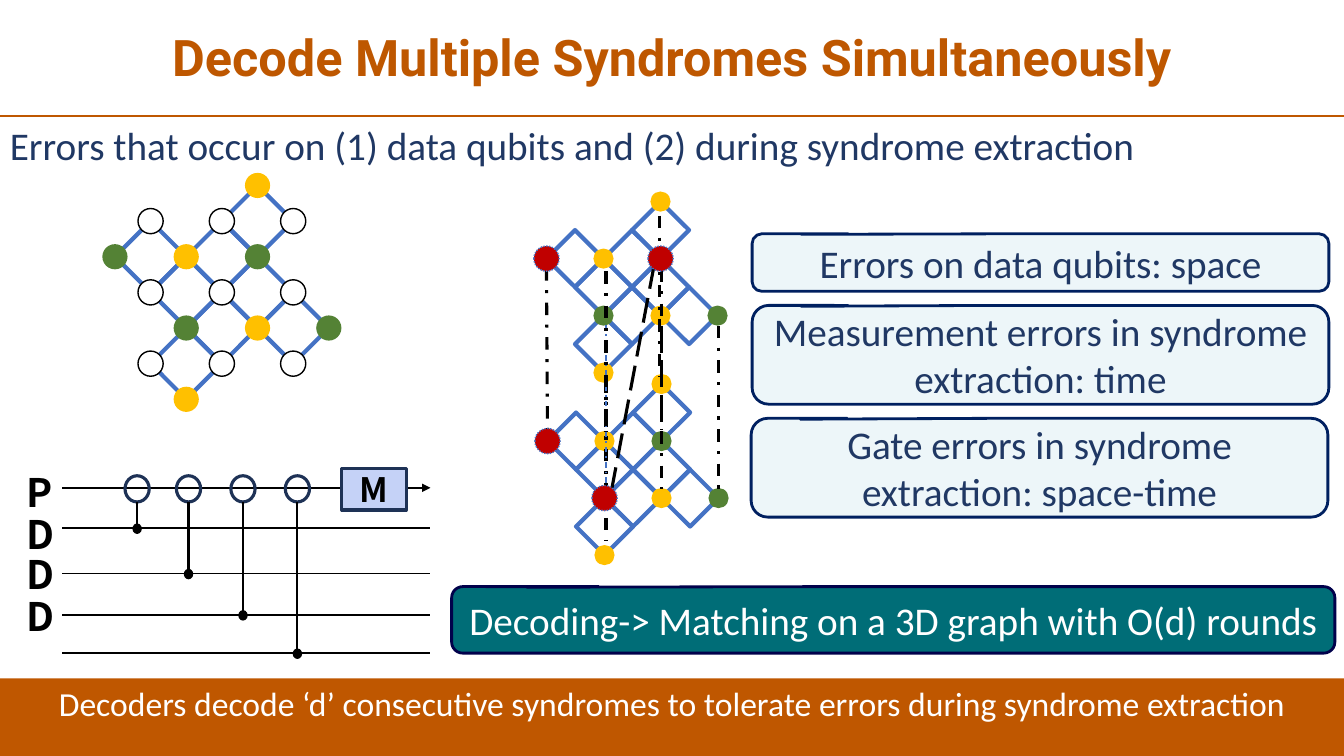
import math
import pptx
import pptx.util
import pptx.oxml.ns
from pptx.dml.color import RGBColor
from pptx.enum.dml import MSO_LINE
from pptx.enum.shapes import MSO_CONNECTOR, MSO_SHAPE
from pptx.enum.text import MSO_ANCHOR, PP_ALIGN
from lxml import etree

PX = 9144
ORANGE = RGBColor(0xBF, 0x57, 0x00)
TITLE = RGBColor(0xBE, 0x57, 0x00)
WHITE = RGBColor(0xFF, 0xFF, 0xFF)
BLACK = RGBColor(0x00, 0x00, 0x00)
NAVY = RGBColor(0x20, 0x38, 0x64)
BORDER = RGBColor(0x00, 0x20, 0x60)
DEEP = RGBColor(0x01, 0x01, 0x4B)
PALE = RGBColor(0xED, 0xF6, 0xF9)
TEAL = RGBColor(0x00, 0x6D, 0x77)
BLUE = RGBColor(0x44, 0x72, 0xC4)
YELLOW = RGBColor(0xFF, 0xC0, 0x00)
GREEN = RGBColor(0x54, 0x82, 0x35)
RED = RGBColor(0xC0, 0x00, 0x00)
GATE = RGBColor(0x1E, 0x32, 0x56)
METER = RGBColor(0xC5, 0xD2, 0xF7)

CELLS = [(4, 1), (3, 2), (4, 3), (5, 4), (1, 2), (2, 3), (3, 4), (2, 5)]
DATA = [(5, 1), (3, 1), (5, 3), (1, 1), (3, 3), (5, 5), (1, 3), (3, 5), (1, 5)]
YELLOWS = [(4, 0), (2, 2), (4, 4), (2, 6)]
GREENS = [(4, 2), (6, 4), (0, 2), (2, 4)]


def emu(*lengths):
    return [round(v * PX) for v in lengths]


def write(sp, text, size=28, font="Calibri", color=NAVY, bold=False,
          align=PP_ALIGN.CENTER, anchor=MSO_ANCHOR.MIDDLE, spacing=None, wrap=True):
    tf = sp.text_frame
    tf.word_wrap = wrap
    tf.vertical_anchor = anchor
    p = tf.paragraphs[0]
    p.alignment = align
    if spacing:
        p.line_spacing = spacing
    r = p.add_run()
    r.text = text
    r.font.size = pptx.util.Pt(size)
    r.font.name = font
    r.font.bold = bold
    r.font.color.rgb = color


def label(s, x, y, w, h, text, **fmt):
    write(s.shapes.add_textbox(*emu(x, y, w, h)), text, **fmt)


def shape(s, kind, x, y, w, h, fill=None, line=None, width=1, dash=None):
    sp = s.shapes.add_shape(kind, *emu(x, y, w, h))
    sp.shadow.inherit = False
    if fill is None:
        sp.fill.background()
    else:
        sp.fill.solid()
        sp.fill.fore_color.rgb = fill
    if line is None:
        sp.line.fill.background()
    else:
        sp.line.color.rgb = line
        sp.line.width = pptx.util.Pt(width)
        if dash:
            sp.line.dash_style = dash
    return sp


def connect(s, x1, y1, x2, y2, color=BLACK, width=1, dash=None, arrow=False):
    c = s.shapes.add_connector(MSO_CONNECTOR.STRAIGHT, *emu(x1, y1, x2, y2))
    c.line.color.rgb = color
    c.line.width = pptx.util.Pt(width)
    if dash:
        c.line.dash_style = dash
    qn = pptx.oxml.ns.qn
    if arrow:
        etree.SubElement(c.line._get_or_add_ln(), qn("a:tailEnd"), type="triangle")
    etree.SubElement(c._element.spPr, qn("a:effectLst"))


def qubit(s, cx, cy, size, fill, line=None, dash=None):
    return shape(s, MSO_SHAPE.FLOWCHART_CONNECTOR, cx - size / 2, cy - size / 2,
                 size, size, fill, line, 1, dash)


def lattice(s, x, y, side, size, data=(), flipped=()):
    step = side / math.sqrt(2)
    for i, j in CELLS:
        sp = shape(s, MSO_SHAPE.RECTANGLE, x + i * step - side / 2,
                   y + j * step - side / 2, side, side, None, BLUE, 3)
        sp.rotation = 45
    for spots, fill, line in ((data, WHITE, BLACK), (YELLOWS, YELLOW, None),
                              (GREENS, GREEN, None)):
        for i, j in spots:
            qubit(s, x + i * step, y + j * step, size, fill, line)


def space_time(s, x, y):
    side = 40
    step = side / math.sqrt(2)
    lower, upper = (x + 13, y + 191), (x + 12, y + 10)
    for ox, oy in (lower, upper):
        lattice(s, ox, oy, side, 20)
    dot, long = MSO_LINE.DASH_DOT, MSO_LINE.LONG_DASH
    links = [(12, 76, 13, 237, BLACK, dot), (183, 133, 183, 295, BLACK, dot),
             (71, 187, 71, 346, BLACK, dot), (126, 135, 126, 295, BLACK, dot),
             (71, 132, 71, 291, BLUE, dot), (126, 77, 126, 236, BLACK, dot),
             (124, 24, 124, 183, BLACK, dot), (119, 72, 77, 294, BLACK, long),
             (71, 79, 71, 238, BLACK, dot)]
    for x1, y1, x2, y2, color, dash in links:
        connect(s, x + x1, y + y1, x + x2, y + y2, color,
                1 if color == BLUE else 2.25, dash)
    for (ox, oy), spots in ((lower, [(0, 2), (2, 4)]), (upper, [(0, 2), (4, 2)])):
        for i, j in spots:
            qubit(s, ox + i * step, oy + j * step, 25, RED, BLUE, MSO_LINE.ROUND_DOT)


def callout(s, x, y, w, h, text, fill=PALE, line=BORDER, color=NAVY):
    sp = shape(s, MSO_SHAPE.ROUNDED_RECTANGULAR_CALLOUT, x, y, w, h, fill, line, 2)
    for n, value in enumerate((-0.415, -0.491, 0.167)):
        sp.adjustments[n] = value
    write(sp, text, color=color)


def circuit(s, x, y):
    font = "Noto Sans CJK JP"
    wires = [21, 61, 106, 147, 185]
    for n, wy in enumerate(wires):
        connect(s, x + 46, y + wy, x + 411, y + wy, arrow=n == 0)
    for name, ly in zip("PDDD", (0, 42, 81, 123)):
        label(s, x, y + ly, 42, 50, name, font=font, color=BLACK, bold=True, wrap=False)
    for gx, wy in zip((120, 171, 225, 279), wires[1:]):
        shape(s, MSO_SHAPE.OVAL, x + gx - 12, y + 9, 24, 26, None, GATE, 2.25)
        shape(s, MSO_SHAPE.OVAL, x + gx - 4, y + wy - 4, 8, 9, BLACK, BLACK)
        connect(s, x + gx, y + 35, x + gx, y + wy - 3, width=1.5)
    sp = shape(s, MSO_SHAPE.RECTANGLE, x + 323, y + 2, 64, 41, METER, GATE, 2.25)
    write(sp, "M", size=24, font=font, color=BLACK, bold=True)


def frame(s, w, h):
    label(s, 9, 4, w - 18, 111, "Decode Multiple Syndromes Simultaneously",
          size=36, font="Roboto", color=TITLE, bold=True, spacing=0.9)
    connect(s, 0, 115, w, 115, ORANGE, 1.5)
    sp = shape(s, MSO_SHAPE.RECTANGLE, 0, h - 77, w, 77, ORANGE)
    write(sp, "Decoders decode ‘d’ consecutive syndromes to tolerate errors "
          "during syndrome extraction", size=24, color=WHITE, anchor=MSO_ANCHOR.TOP)
    label(s, 0, 115, w, 57, "Errors that occur on (1) data qubits and (2) during "
          "syndrome extraction", align=PP_ALIGN.LEFT, anchor=MSO_ANCHOR.TOP)


def main():
    prs = pptx.Presentation()
    prs.slide_width, prs.slide_height = emu(1333, 750)
    s = prs.slides.add_slide(prs.slide_layouts[6])
    frame(s, 1333, 750)
    lattice(s, 114, 184, 50, 25, DATA)
    space_time(s, 530, 190)
    callout(s, 746, 232, 572, 57, "Errors on data qubits: space")
    callout(s, 746, 303, 572, 98, "Measurement errors in syndrome extraction: time")
    callout(s, 745, 415, 572, 98, "Gate errors in syndrome extraction: space-time")
    callout(s, 448, 582, 876, 66, "Decoding-> Matching on a 3D graph with O(d) rounds",
            TEAL, DEEP, WHITE)
    circuit(s, 16, 463)
    prs.save("out.pptx")


if __name__ == "__main__":
    main()
